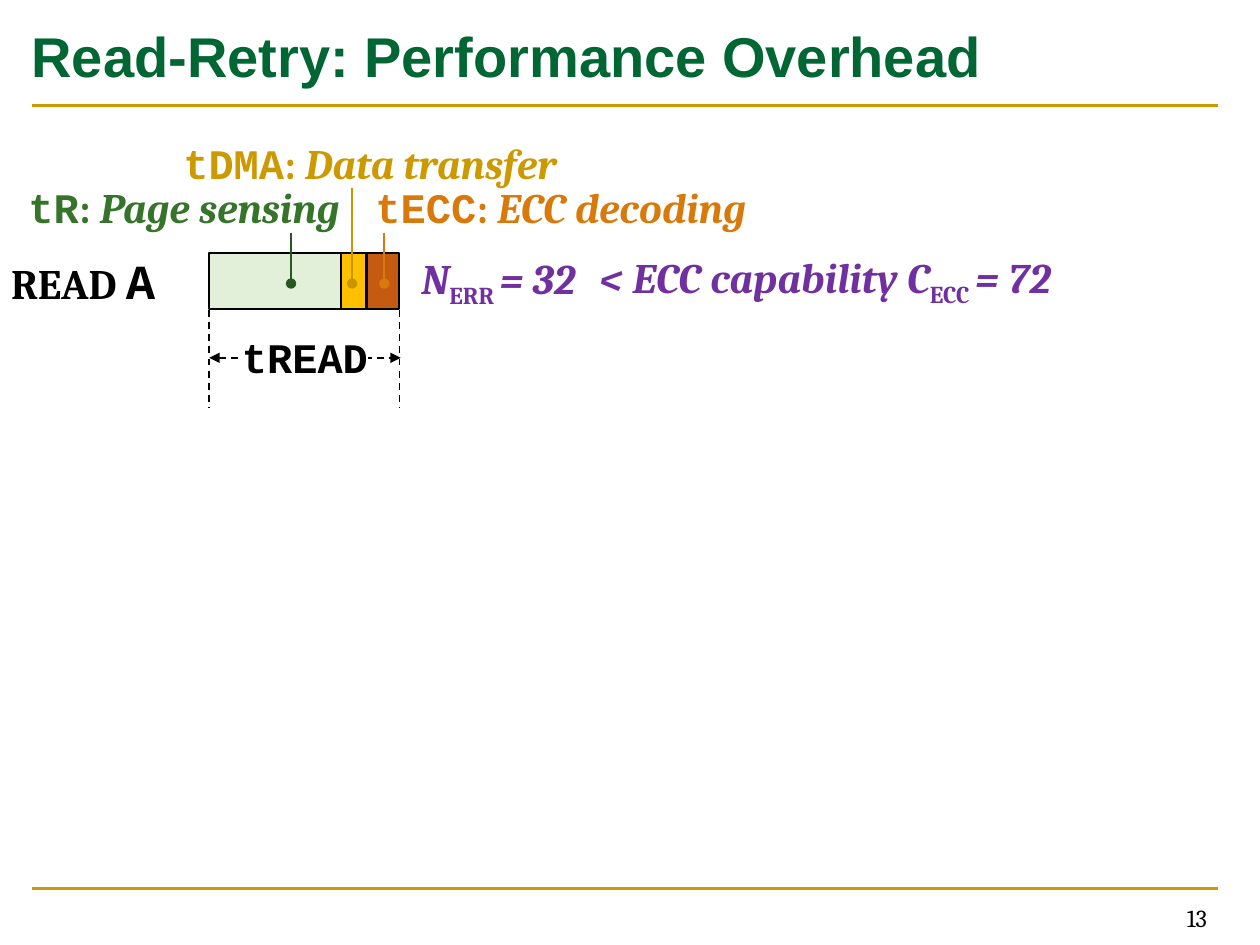
from lxml import etree
from pptx import Presentation
from pptx.dml.color import RGBColor
from pptx.enum.dml import MSO_LINE
from pptx.enum.shapes import MSO_CONNECTOR, MSO_SHAPE
from pptx.enum.text import MSO_ANCHOR, PP_ALIGN
from pptx.oxml.ns import qn
from pptx.util import Inches, Pt

RECTANGLE = MSO_SHAPE.RECTANGLE
STRAIGHT = MSO_CONNECTOR.STRAIGHT
DASH = MSO_LINE.DASH
MIDDLE = MSO_ANCHOR.MIDDLE
LEFT, CENTER, RIGHT = PP_ALIGN.LEFT, PP_ALIGN.CENTER, PP_ALIGN.RIGHT

COLUMNS, ROWS = 100, 75
BLACK, GOLD, PURPLE = "000000", "CC9900", "7030A0"
SANS, SERIF, MONO = "Arial", "Cambria", "Courier New"


def color(value):
    return RGBColor.from_string(value)


class SlideBuilder:
    def __init__(self, deck):
        self.slide = deck.slides.add_slide(deck.slide_layouts[6])
        self.column = deck.slide_width / COLUMNS
        self.row = deck.slide_height / ROWS

    def place(self, left, top, width, height):
        return (round(left * self.column), round(top * self.row),
                round(width * self.column), round(height * self.row))

    def text(self, area, spans, ink, size=24, align=CENTER, bold=True, inset=0):
        box = self.slide.shapes.add_textbox(*self.place(*area))
        frame = box.text_frame
        frame.word_wrap = True
        frame.vertical_anchor = MIDDLE
        frame.margin_left = Inches(inset)
        frame.margin_right = frame.margin_top = frame.margin_bottom = 0
        para = frame.paragraphs[0]
        para.alignment = align
        for words, face, style in spans:
            span = para.add_run()
            span.text = words
            font = span.font
            font.name = face
            font.size = Pt(style.get("size", size))
            font.bold = bold
            font.italic = style.get("italic", False)
            font.color.rgb = color(ink)
            if style.get("subscript"):
                font._element.set("baseline", "-25000")
        return box

    def block(self, area, fill):
        shape = self.slide.shapes.add_shape(RECTANGLE, *self.place(*area))
        shape.shadow.inherit = False
        shape.fill.solid()
        shape.fill.fore_color.rgb = color(fill)
        shape.line.color.rgb = color(BLACK)
        shape.line.width = Pt(1.25)

    def line(self, start, end, ink, width=1, dashed=False, head=None, tail=None):
        ends = self.place(*start, *end)
        connector = self.slide.shapes.add_connector(STRAIGHT, *ends)
        connector.line.color.rgb = color(ink)
        connector.line.width = Pt(width)
        if dashed:
            connector.line.dash_style = DASH
        outline = connector.line._get_or_add_ln()
        for tag, kind in (("a:headEnd", head), ("a:tailEnd", tail)):
            if kind:
                etree.SubElement(outline, qn(tag), type=kind)
        etree.SubElement(connector._element.spPr, qn("a:effectLst"))

    def legend(self, area, symbol, meaning, ink, pointer, pointer_ink, inset=0):
        spans = [(symbol, MONO, {}), (":", SERIF, {}),
                 (" " + meaning, SERIF, {"italic": True})]
        self.text(area, spans, ink, inset=inset)
        column, top = pointer
        self.line((column, top), (column, 22.5), pointer_ink, tail="oval")

    def equation(self, area, symbol, subscript, value):
        spans = [(symbol, SERIF, {"italic": True}),
                 (subscript + " ", SERIF, {"subscript": True}),
                 (value, SERIF, {"italic": True})]
        self.text(area, spans, PURPLE)


def main():
    deck = Presentation()
    deck.slide_width, deck.slide_height = Inches(10), Inches(7.5)
    page = SlideBuilder(deck)

    for row in (8.4, 70.5):
        page.line((2.5, row), (96.7, row), GOLD, width=1.5)
    page.text((2.5, 0.4, 94.2, 7.9),
              [("Read-Retry: Performance Overhead", SANS, {})],
              "006633", size=32, align=LEFT)
    page.text((73.5, 71.1, 22.3, 3.4), [("13", SERIF, {})],
              BLACK, size=14, align=RIGHT, bold=False)

    page.equation((22.2, 19.8, 34.7, 5), "N", "ERR", "= 32")
    page.equation((45, 19.7, 41, 5), "< ECC capability C", "ECC", "= 72")
    page.text((-3, 19.9, 18.4, 4.7),
              [("READ ", SERIF, {}), ("A", MONO, {"size": 28})],
              BLACK, inset=0.08)

    start = left = 16.6
    for width, fill in ((10.5, "E2F0D9"), (2.0, "FFC000"), (2.6, "C55A11")):
        page.block((left, 20.1, width, 4.4), fill)
        left += width

    page.line((start, 28.4), (left + 0.1, 28.4), BLACK, dashed=True,
              head="triangle", tail="triangle")
    label = page.text((19.2, 26.3, 10, 4), [("tREAD", MONO, {})], BLACK)
    label.fill.solid()
    label.fill.fore_color.rgb = color("FFFFFF")
    for column in (start, left):
        page.line((column, 24.6), (column, 32.4), BLACK, dashed=True)

    page.legend((1.7, 14.4, 25.8, 4), "tR", "Page sensing", "35742A",
                (23.1, 18.5), "285720")
    page.legend((12.2, 10.9, 34.3, 4), "tDMA", "Data transfer", GOLD,
                (27.95, 14.9), "C89600")
    page.legend((28.7, 14.4, 30.8, 4), "tECC", "ECC decoding", "D77A0B",
                (30.5, 18.5), "D77A0B", inset=0.08)

    deck.save("out.pptx")


if __name__ == "__main__":
    main()
